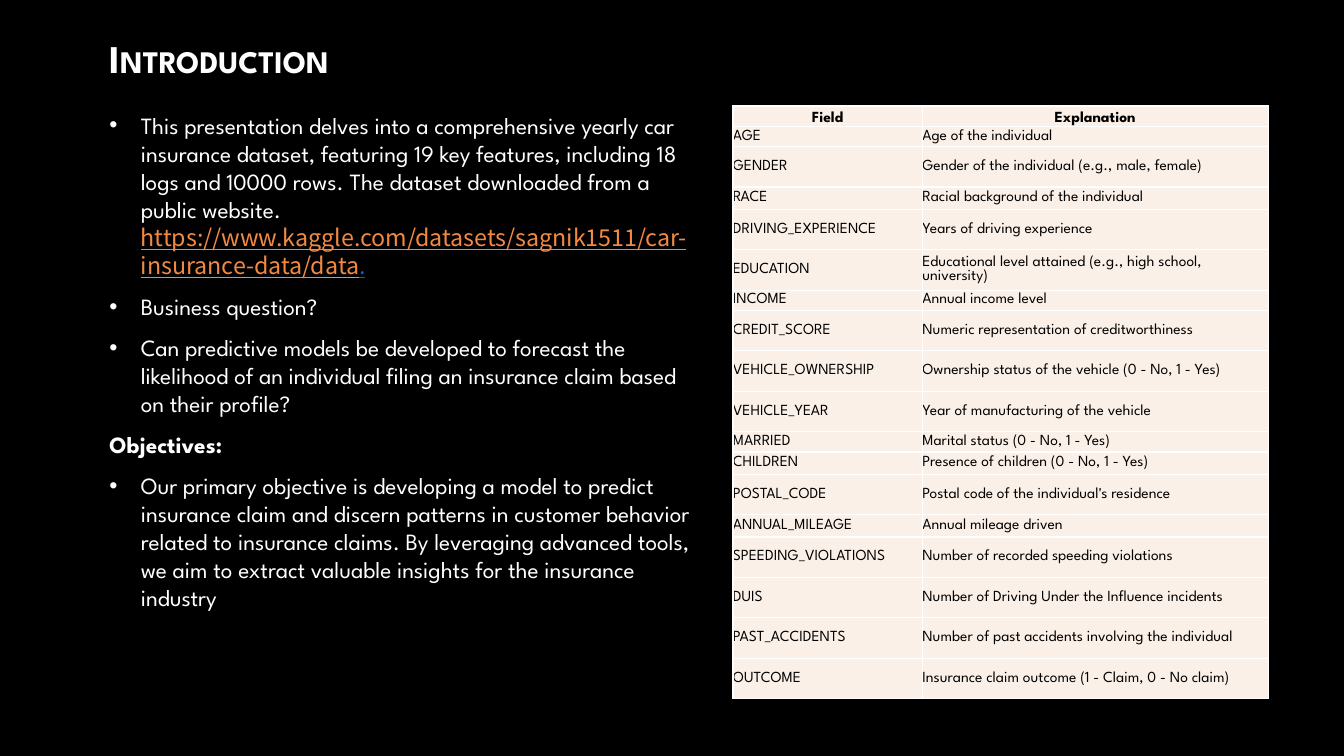
from lxml.etree import SubElement
from pptx import Presentation
from pptx.dml.color import RGBColor
from pptx.enum.text import MSO_ANCHOR, PP_ALIGN
from pptx.oxml import parse_xml
from pptx.oxml.ns import nsdecls, qn
from pptx.util import Cm, Pt

COLORS = {
    "background": "000000",
    "light": "FFFFFF",
    "dark": "000000",
    "link": "F28943",
    "link_end": "0563C1",
    "cell": "FBF0E8",
}
MAIN_FONT = "League Spartan"
LINK_FONT = "Noto Sans CJK SC"
BODY_SIZE = 16.6

TITLE_BOX = (2.51, 0.46, 29.44, 2.01)
BODY_BOX = (2.51, 2.67, 15.47, 13.69)
TABLE_BOX = (18.47, 2.67, 13.49, 14.83)
FIELD_SHARE = 0.354

LINK = "https://www.kaggle.com/datasets/sagnik1511/car-insurance-data/data"
HEADING = "Objectives:"
BODY = [
    "This presentation delves into a comprehensive yearly car insurance dataset, "
    "featuring 19 key features, including 18 logs and 10000 rows. "
    "The dataset downloaded from a public website. \v",
    "Business question?",
    "Can predictive models be developed to forecast the likelihood of an individual "
    "filing an insurance claim based on their profile?",
    HEADING,
    "Our primary objective is developing a model to predict insurance claim and "
    "discern patterns in customer behavior related to insurance claims. "
    "By leveraging advanced tools, we aim to extract valuable insights for the "
    "insurance industry",
]

SHORT, MEDIUM, TALL = 0.51, 0.56, 1.02
FIELDS = [
    ("Field", "Explanation", SHORT),
    ("AGE", "Age of the individual", SHORT),
    ("GENDER", "Gender of the individual (e.g., male, female)", TALL),
    ("RACE", "Racial background of the individual", MEDIUM),
    ("DRIVING_EXPERIENCE", "Years of driving experience", TALL),
    ("EDUCATION", "Educational level attained (e.g., high school, university)", TALL),
    ("INCOME", "Annual income level", SHORT),
    ("CREDIT_SCORE", "Numeric representation of creditworthiness", TALL),
    ("VEHICLE_OWNERSHIP", "Ownership status of the vehicle (0 - No, 1 - Yes)", TALL),
    ("VEHICLE_YEAR", "Year of manufacturing of the vehicle", TALL),
    ("MARRIED", "Marital status (0 - No, 1 - Yes)", SHORT),
    ("CHILDREN", "Presence of children (0 - No, 1 - Yes)", MEDIUM),
    ("POSTAL_CODE", "Postal code of the individual's residence", TALL),
    ("ANNUAL_MILEAGE", "Annual mileage driven", MEDIUM),
    ("SPEEDING_VIOLATIONS", "Number of recorded speeding violations", TALL),
    ("DUIS", "Number of Driving Under the Influence incidents", TALL),
    ("PAST_ACCIDENTS", "Number of past accidents involving the individual", TALL),
    ("OUTCOME", "Insurance claim outcome (1 - Claim, 0 - No claim)", TALL),
]


def color(name):
    return RGBColor.from_string(COLORS[name])


def format_run(run, size, color_name, bold=False, font=MAIN_FONT, underline=False):
    run.font.name = font
    run.font.size = Pt(size)
    run.font.bold = bold
    run.font.underline = underline
    run.font.color.rgb = color(color_name)


def add_bullet(paragraph):
    properties = paragraph._p.get_or_add_pPr()
    properties.set("marL", str(Cm(0.79)))
    properties.set("indent", str(Cm(-0.79)))
    bullet_color = SubElement(properties, qn("a:buClr"))
    SubElement(bullet_color, qn("a:srgbClr"), val=COLORS["light"])
    SubElement(properties, qn("a:buFont"), typeface="Arial")
    SubElement(properties, qn("a:buChar"), char="•")


def add_cell_borders(cell):
    properties = cell._tc.get_or_add_tcPr()
    for position, side in enumerate(("lnL", "lnR", "lnT", "lnB")):
        border = parse_xml(
            f'<a:{side} {nsdecls("a")} w="{Pt(1)}"><a:solidFill>'
            f'<a:srgbClr val="{COLORS["light"]}"/></a:solidFill></a:{side}>'
        )
        properties.insert(position, border)


def place_title(slide, box):
    title = slide.shapes.title
    title.left, title.top, title.width, title.height = map(Cm, box)
    frame = title.text_frame
    frame.text = "Introduction"
    frame.vertical_anchor = MSO_ANCHOR.MIDDLE
    paragraph = frame.paragraphs[0]
    paragraph.alignment = PP_ALIGN.LEFT
    run = paragraph.runs[0]
    format_run(run, 28, "light", bold=True)
    run.font._element.set("cap", "small")


def place_body(slide, box):
    frame = slide.shapes.add_textbox(*map(Cm, box)).text_frame
    frame.word_wrap = True
    for index, text in enumerate(BODY):
        paragraph = frame.add_paragraph() if index else frame.paragraphs[0]
        paragraph.text = text
        paragraph.line_spacing = Pt(20)
        paragraph.space_before = Pt(3.3 if index else 0)
        paragraph.space_after = Pt(6)
        if text != HEADING:
            add_bullet(paragraph)
        for run in paragraph.runs:
            format_run(run, BODY_SIZE, "light", bold=text == HEADING)

    for text, color_name in ((LINK, "link"), (".", "link_end")):
        run = frame.paragraphs[0].add_run()
        run.text = text
        format_run(run, BODY_SIZE, color_name, font=LINK_FONT, underline=True)


def format_cell(cell, text, is_header):
    cell.text = text
    cell.margin_left = cell.margin_right = cell.margin_top = cell.margin_bottom = 0
    cell.vertical_anchor = MSO_ANCHOR.BOTTOM if is_header else MSO_ANCHOR.MIDDLE
    cell.fill.solid()
    cell.fill.fore_color.rgb = color("cell")
    add_cell_borders(cell)
    paragraph = cell.text_frame.paragraphs[0]
    paragraph.alignment = PP_ALIGN.CENTER if is_header else PP_ALIGN.LEFT
    format_run(paragraph.runs[0], 11, "dark", bold=is_header)


def place_field_table(slide, box):
    table = slide.shapes.add_table(len(FIELDS), 2, *map(Cm, box)).table
    table.horz_banding = False
    width = box[2]
    table.columns[0].width = Cm(width * FIELD_SHARE)
    table.columns[1].width = Cm(width * (1 - FIELD_SHARE))
    for row_index, (field, explanation, height) in enumerate(FIELDS):
        table.rows[row_index].height = Cm(height)
        for column_index, text in enumerate((field, explanation)):
            format_cell(table.cell(row_index, column_index), text, row_index == 0)


def main():
    presentation = Presentation()
    presentation.slide_width = Cm(33.87)
    presentation.slide_height = Cm(19.05)
    slide = presentation.slides.add_slide(presentation.slide_layouts[5])
    slide.background.fill.solid()
    slide.background.fill.fore_color.rgb = color("background")
    place_title(slide, TITLE_BOX)
    place_body(slide, BODY_BOX)
    place_field_table(slide, TABLE_BOX)
    presentation.save("out.pptx")


if __name__ == "__main__":
    main()
